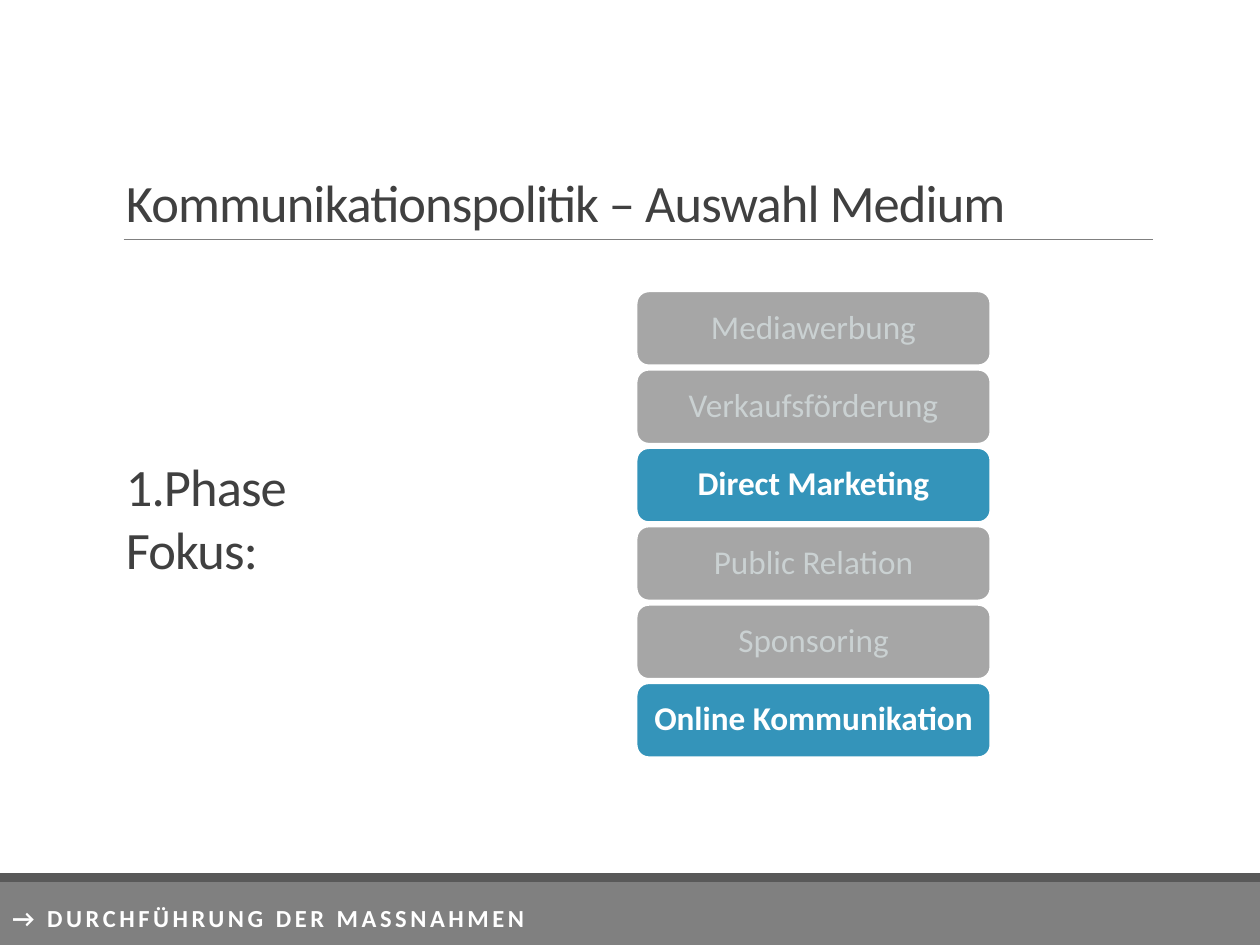
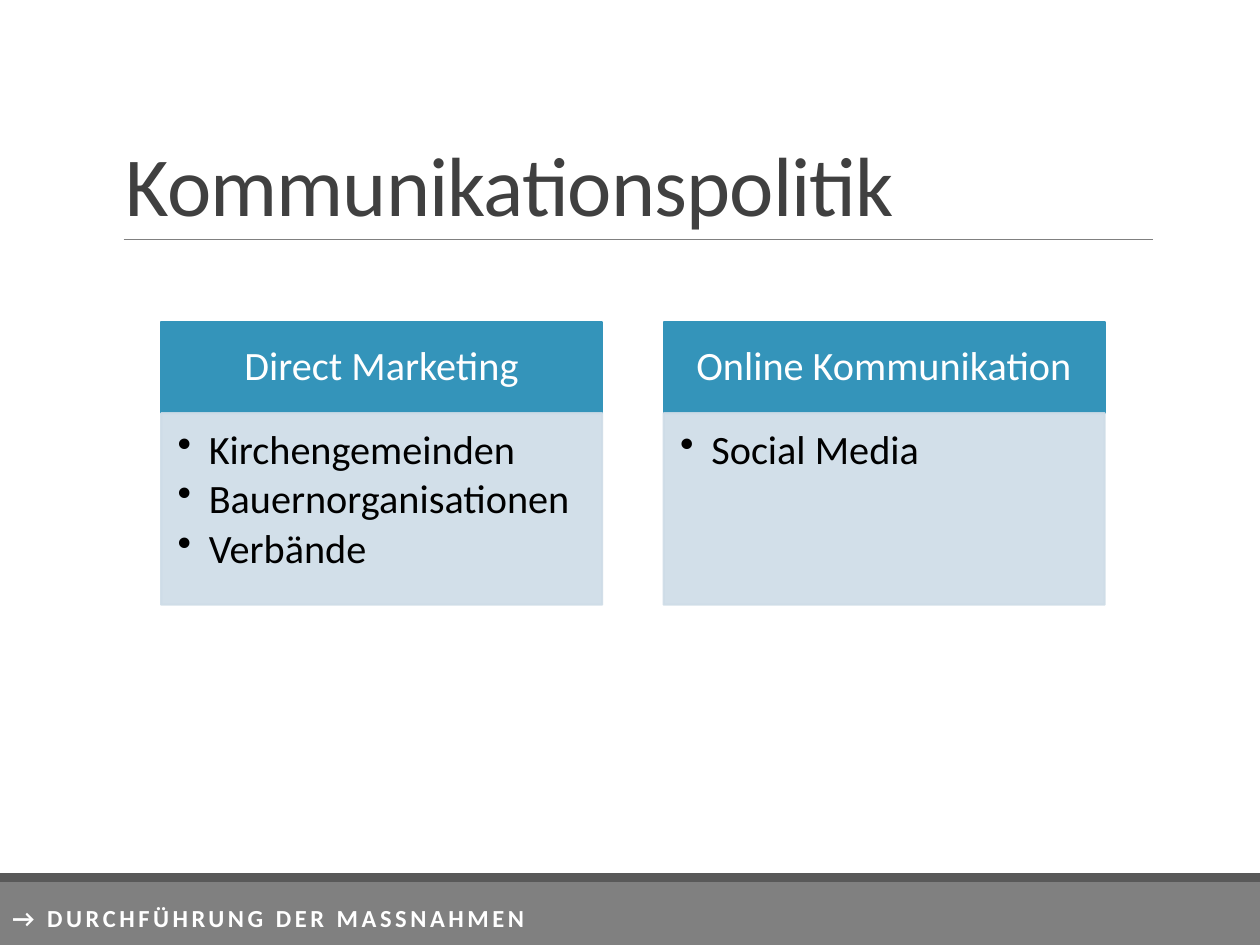
from pptx import Presentation
from pptx.dml.color import RGBColor
from pptx.enum.shapes import MSO_CONNECTOR, MSO_SHAPE
from pptx.enum.text import MSO_ANCHOR, PP_ALIGN
from pptx.oxml.ns import qn
from pptx.util import Cm, Pt
from lxml import etree

RECTANGLE, ROUNDED = MSO_SHAPE.RECTANGLE, MSO_SHAPE.ROUNDED_RECTANGLE
STRAIGHT = MSO_CONNECTOR.STRAIGHT
TOP, MIDDLE, BOTTOM = MSO_ANCHOR.TOP, MSO_ANCHOR.MIDDLE, MSO_ANCHOR.BOTTOM
LEFT, CENTER = PP_ALIGN.LEFT, PP_ALIGN.CENTER

WHITE = RGBColor(0xFF, 0xFF, 0xFF)
BLACK = RGBColor(0x00, 0x00, 0x00)
TITLE_GREY = RGBColor(0x40, 0x40, 0x40)
DARK_BAND = RGBColor(0x59, 0x59, 0x59)
BAND = RGBColor(0x80, 0x80, 0x80)
MUTED_FILL = RGBColor(0xA6, 0xA6, 0xA6)
MUTED_TEXT = RGBColor(0xCA, 0xD1, 0xD2)
BLUE = RGBColor(0x34, 0x94, 0xBA)
PALE_BLUE = RGBColor(0xCE, 0xDC, 0xE7)

FONT = "Calibri"
FOOTER = "→ DURCHFÜHRUNG DER MASSNAHMEN"


def add_box(page, kind, left, top, width, height, fill, line=None):
    box = page.shapes.add_shape(kind, Cm(left), Cm(top), Cm(width), Cm(height))
    box.shadow.inherit = False
    box.fill.solid()
    box.fill.fore_color.rgb = fill
    if line is None:
        box.line.fill.background()
    else:
        box.line.color.rgb = line
        box.line.width = Pt(1.25)
    return box


def write(box, lines, size, color, bold=False, align=LEFT, anchor=TOP,
          line_spacing=0.9, letter_spacing=0, bullets=False):
    frame = box.text_frame
    frame.word_wrap = True
    frame.vertical_anchor = anchor
    for index, line in enumerate(lines):
        para = frame.paragraphs[0] if index == 0 else frame.add_paragraph()
        para.alignment = align
        para.line_spacing = line_spacing
        if bullets:
            para.space_after = Pt(3.5)
            properties = para._p.get_or_add_pPr()
            properties.set("marL", str(Cm(0.63)))
            properties.set("indent", str(Cm(-0.63)))
            etree.SubElement(properties, qn("a:buChar")).set("char", "•")
        span = para.add_run()
        span.text = line
        if letter_spacing:
            span._r.get_or_add_rPr().set("spc", str(int(letter_spacing * 100)))
        para.font.name = FONT
        para.font.size = Pt(size)
        para.font.bold = bold
        para.font.color.rgb = color


deck = Presentation()
deck.slide_width, deck.slide_height = Cm(25.4), Cm(19.05)

# Shared parts: footer bands, title, rule and footer text
pages = []
for title, size in [("Kommunikationspolitik – Auswahl Medium", 30),
                    ("Kommunikationspolitik", 48)]:
    page = deck.slides.add_slide(deck.slide_layouts[6])
    pages.append(page)
    add_box(page, RECTANGLE, 0, 17.78, 25.4, 1.27, BAND)
    add_box(page, RECTANGLE, 0, 17.6, 25.4, 0.18, DARK_BAND)

    rule = page.shapes.add_connector(STRAIGHT, Cm(2.49), Cm(4.83), Cm(23.25), Cm(4.83))
    rule.line.color.rgb = BAND
    rule.line.width = Pt(0.5)
    etree.SubElement(rule._element.spPr, qn("a:effectLst"))

    heading = page.shapes.add_textbox(Cm(2.29), Cm(0.79), Cm(20.96), Cm(4.04))
    write(heading, [title], size, TITLE_GREY, anchor=BOTTOM,
          line_spacing=0.85, letter_spacing=-0.5)
    footer = page.shapes.add_textbox(Cm(0), Cm(18.14), Cm(25.4), Cm(0.99))
    write(footer, [FOOTER], 14, WHITE, bold=True, letter_spacing=2)

media_page, focus_page = pages

# Slide 1: stack of media, the chosen ones highlighted
media = [("Mediawerbung", False), ("Verkaufsförderung", False),
         ("Direct Marketing", True), ("Public Relation", False),
         ("Sponsoring", False), ("Online Kommunikation", True)]
for row, (medium, chosen) in enumerate(media):
    box = add_box(media_page, ROUNDED, 12.83, 5.87 + row * 1.58, 7.14, 1.5,
                  BLUE if chosen else MUTED_FILL, WHITE)
    box.text_frame.margin_left = box.text_frame.margin_right = Cm(0.2)
    write(box, [medium], 19, WHITE if chosen else MUTED_TEXT,
          bold=chosen, align=CENTER, anchor=MIDDLE)

phase = media_page.shapes.add_textbox(Cm(2.29), Cm(9.02), Cm(5.5), Cm(3))
write(phase, ["1.Phase Fokus:"], 30, TITLE_GREY, line_spacing=1, letter_spacing=-0.5)

# Slide 2: one column for each chosen medium
columns = [("Direct Marketing", ["Kirchengemeinden", "Bauernorganisationen", "Verbände"]),
           ("Online Kommunikation", ["Social Media"])]
for index, (medium, channels) in enumerate(columns):
    left = 3.25 + index * 10.13
    header = add_box(focus_page, RECTANGLE, left, 6.5, 8.89, 1.83, BLUE, BLUE)
    write(header, [medium], 23, WHITE, align=CENTER, anchor=MIDDLE)

    body = add_box(focus_page, RECTANGLE, left, 8.33, 8.89, 3.86, PALE_BLUE, PALE_BLUE)
    for color in body._element.spPr.iter(qn("a:srgbClr")):
        etree.SubElement(color, qn("a:alpha")).set("val", "90000")
    body.text_frame.margin_left = body.text_frame.margin_top = Cm(0.33)
    write(body, channels, 23, BLACK, bullets=True)

deck.save("out.pptx")
